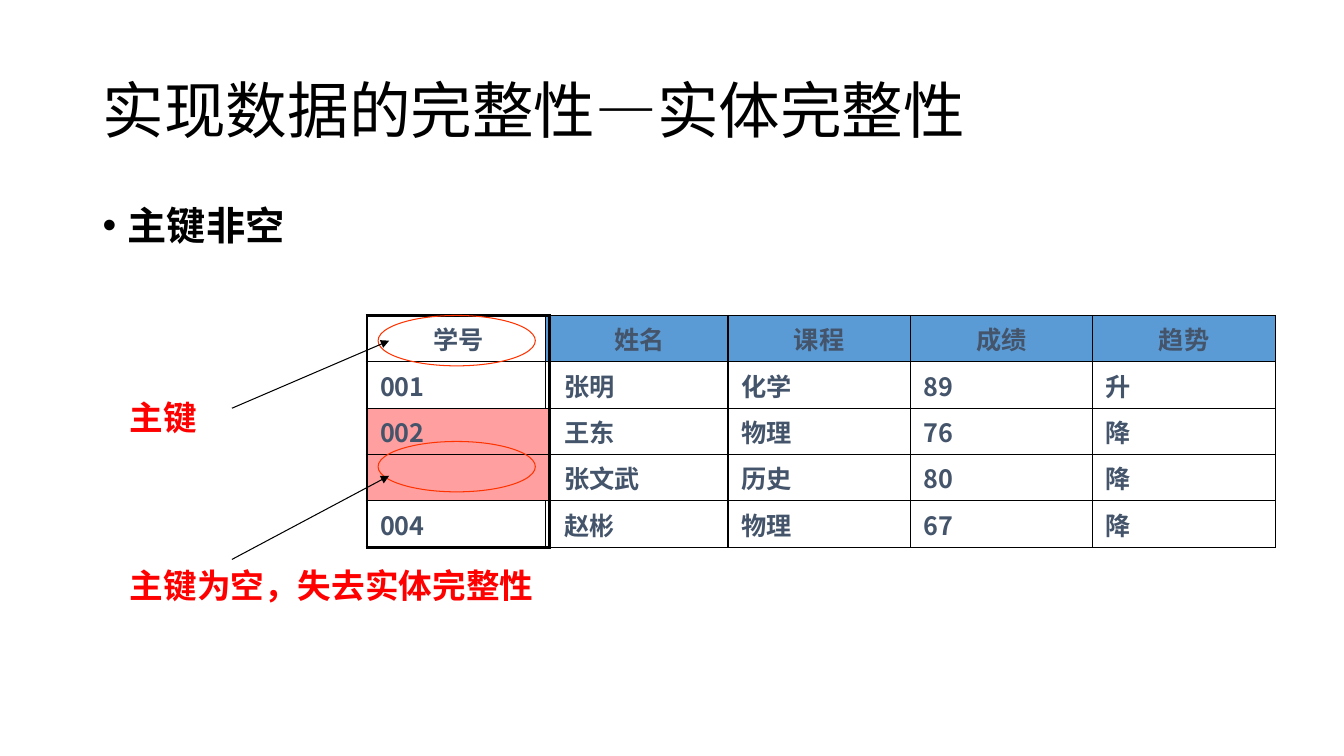
from dataclasses import dataclass

from lxml import etree
from pptx import Presentation, util as u
from pptx.dml.color import RGBColor
from pptx.enum import shapes, text
from pptx.oxml import ns


@dataclass(frozen=True)
class Theme:
    """Hold the colours, fonts and type sizes of the slide."""

    ink: str = "000000"
    cell_ink: str = "44546A"
    white: str = "FFFFFF"
    header: str = "5B9BD5"
    conflict: str = "FF9F9F"
    alert: str = "FF0000"
    ring: str = "FF3300"
    title_font: str = "Arial"
    body_font: str = "Arial Narrow"
    label_font: str = "TeX Gyre Schola"
    cjk_font: str = "Noto Sans CJK SC"
    title_size: int = 44
    body_size: int = 28
    label_size: int = 24
    cell_size: int = 18
    thin: float = 0.75
    rule: float = 1
    thick: float = 2.25


class IntegritySlide:
    """Draw styled elements on one slide."""

    def __init__(self, presentation, theme):
        """Add a blank slide."""
        self.theme = theme
        self.slide = presentation.slides.add_slide(presentation.slide_layouts[6])

    def add_words(self, paragraph, words, size, color, font, bold=True):
        """Add one styled run."""
        run = paragraph.add_run()
        run.text = words
        values = {"size": u.Pt(size), "name": font, "bold": bold}
        for name, value in values.items():
            setattr(run.font, name, value)
        run.font.color.rgb = RGBColor.from_string(color)
        properties = run._r.get_or_add_rPr()
        etree.SubElement(properties, ns.qn("a:ea"), typeface=self.theme.cjk_font)

    def text(self, box, words, size, color, font, bold=True, spacing=1.0,
             anchor=text.MSO_ANCHOR.TOP, bullet=False):
        """Add a text box."""
        frame = self.slide.shapes.add_textbox(*map(u.Inches, box)).text_frame
        frame.word_wrap = True
        frame.vertical_anchor = anchor
        paragraph = frame.paragraphs[0]
        paragraph.line_spacing = spacing
        if bullet:
            properties = paragraph._p.get_or_add_pPr()
            properties.set("marL", str(u.Inches(0.25)))
            properties.set("indent", str(u.Inches(-0.25)))
            etree.SubElement(properties, ns.qn("a:buFont"), typeface="Arial")
            etree.SubElement(properties, ns.qn("a:buChar"), char="•")
        self.add_words(paragraph, words, size, color, font, bold)

    def borders(self, cell, widths):
        """Draw the left, right, top and bottom border of a cell."""
        properties = cell._tc.get_or_add_tcPr()
        for side, width in zip("LRTB", widths):
            line = etree.SubElement(properties, ns.qn(f"a:ln{side}"), w=str(u.Pt(width)))
            fill = etree.SubElement(line, ns.qn("a:solidFill"))
            etree.SubElement(fill, ns.qn("a:srgbClr"), val=self.theme.ink)

    def table(self, left, top, column_width, row_height, rows, fills, edge, indents):
        """Add a table with a centred first row and an outer edge width."""
        theme, count, width = self.theme, len(rows), len(rows[0])
        table = self.slide.shapes.add_table(
            count, width, u.Inches(left), u.Inches(top),
            u.Inches(column_width * width), u.Inches(row_height * count)).table
        table.first_row = table.horz_banding = False
        for i, row in enumerate(rows):
            for j, words in enumerate(row):
                cell = table.cell(i, j)
                outer = (j == 0, j == width - 1, i == 0, i == count - 1)
                self.borders(cell, [edge if side else theme.rule for side in outer])
                if fills[i]:
                    cell.fill.solid()
                    cell.fill.fore_color.rgb = RGBColor.from_string(fills[i])
                else:
                    cell.fill.background()
                values = {"margin_left": u.Inches(indents[j]),
                          "margin_right": u.Inches(0.13),
                          "vertical_anchor": text.MSO_ANCHOR.MIDDLE}
                for name, value in values.items():
                    setattr(cell, name, value)
                paragraph = cell.text_frame.paragraphs[0]
                paragraph.alignment = text.PP_ALIGN.LEFT if i else text.PP_ALIGN.CENTER
                if words:
                    self.add_words(paragraph, words, theme.cell_size, theme.cell_ink,
                                   theme.cjk_font)

    def ring(self, left, top, width, height):
        """Add an unfilled ellipse."""
        shape = self.slide.shapes.add_shape(
            shapes.MSO_SHAPE.OVAL, *map(u.Inches, (left, top, width, height)))
        shape.shadow.inherit = False
        shape.fill.background()
        shape.line.color.rgb = RGBColor.from_string(self.theme.ring)
        shape.line.width = u.Pt(self.theme.thin)

    def arrow(self, start, end):
        """Add a straight arrow."""
        connector = self.slide.shapes.add_connector(
            shapes.MSO_CONNECTOR.STRAIGHT, *map(u.Inches, (*start, *end)))
        connector.line.color.rgb = RGBColor.from_string(self.theme.ink)
        connector.line.width = u.Pt(self.theme.thin)
        properties = connector._element.spPr
        etree.SubElement(properties.find(ns.qn("a:ln")), ns.qn("a:tailEnd"), type="triangle")
        etree.SubElement(properties, ns.qn("a:effectLst"))


def main():
    """Build and save the entity integrity slide."""
    presentation = Presentation()
    presentation.slide_width = u.Inches(13.33)
    presentation.slide_height = u.Inches(7.5)
    theme = Theme()
    page = IntegritySlide(presentation, theme)

    page.text((0.92, 0.4, 10.4, 1.45), "实现数据的完整性—实体完整性", theme.title_size, theme.ink,
              theme.title_font, bold=False, spacing=0.9, anchor=text.MSO_ANCHOR.MIDDLE)
    page.text((0.92, 2, 11.5, 4.76), "主键非空", theme.body_size, theme.ink,
              theme.body_font, spacing=0.9, bullet=True)

    column_width, row_height, table_top = 1.81, 0.46, 3.13
    records = [("姓名", "课程", "成绩", "趋势"),
               ("张明", "化学", "89", "升"),
               ("王东", "物理", "76", "降"),
               ("张文武", "历史", "80", "降"),
               ("赵彬", "物理", "67", "降")]
    page.table(5.41, table_top, column_width, row_height, records,
               [theme.header] + [theme.white] * 4, theme.rule, (0.19, 0.13, 0.13, 0.13))
    keys = [("学号",), ("001",), ("002",), ("",), ("004",)]
    page.table(3.64, table_top, column_width, row_height, keys,
               [None, None, theme.conflict, theme.conflict, None], theme.thick, (0.13,))

    for ring_top, start, end in [(4.38, (2.3, 5.55), (3.86, 4.72)),
                                 (3.13, (2.3, 4.05), (3.86, 3.38))]:
        page.ring(3.75, ring_top, 1.56, 0.5)
        page.arrow(start, end)
    page.text((1.19, 5.55, 5.78, 0.5), "主键为空，失去实体完整性", theme.label_size, theme.alert,
              theme.label_font, anchor=text.MSO_ANCHOR.BOTTOM)
    page.text((1.19, 3.97, 1.67, 0.42), "主键", theme.label_size, theme.alert,
              theme.body_font, spacing=0.8)
    presentation.save("out.pptx")


if __name__ == "__main__":
    main()
